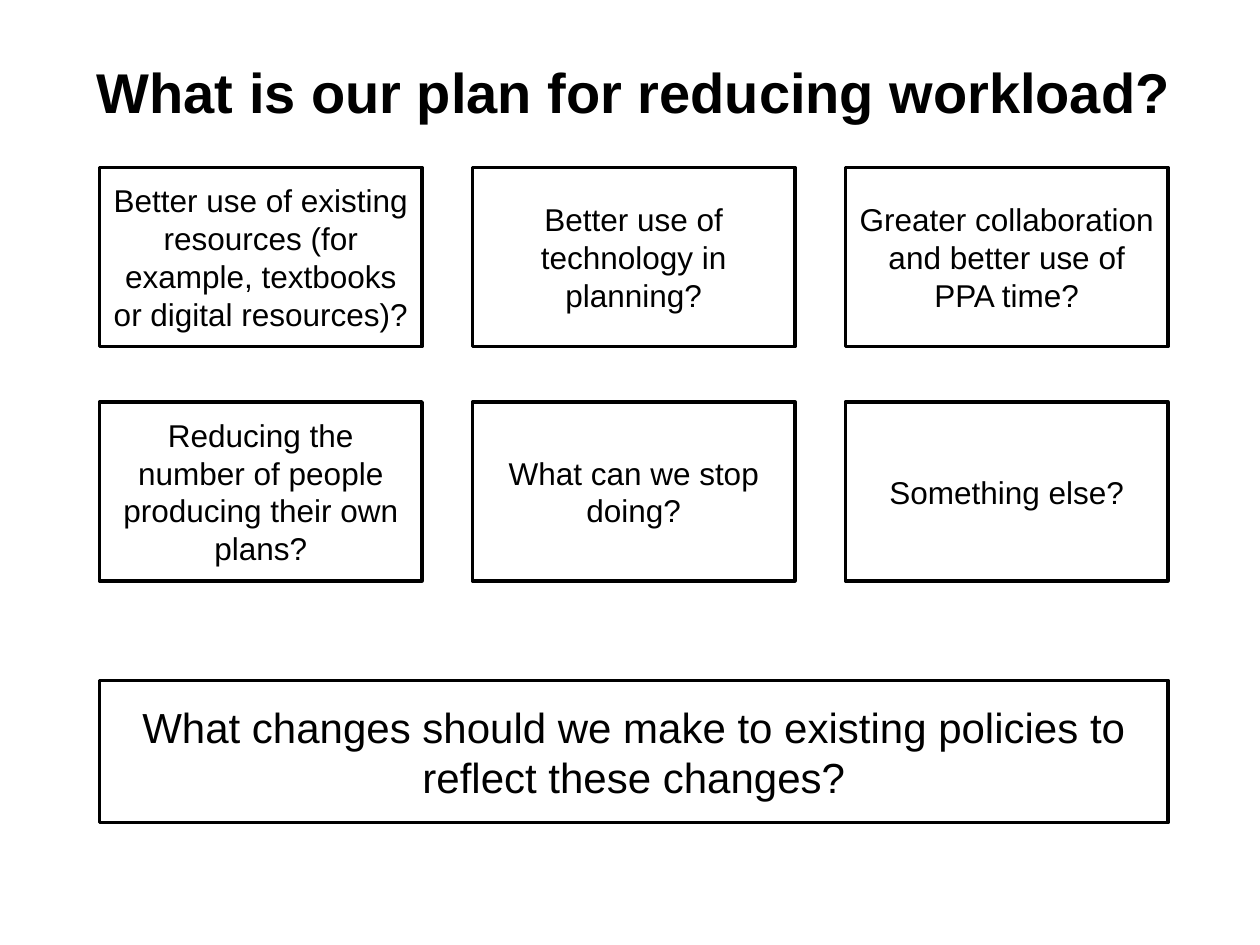
from dataclasses import dataclass

from pptx import Presentation
from pptx.dml.color import RGBColor
from pptx.enum.shapes import MSO_SHAPE
from pptx.enum.text import MSO_ANCHOR, PP_ALIGN
from pptx.util import Inches, Pt


@dataclass(frozen=True)
class Theme:
    font: str = "Arial"
    ink: RGBColor = RGBColor(0, 0, 0)
    title_size: int = 32
    question_size: int = 18
    summary_size: int = 24
    outline: int = 2
    leading: float = 1.2


@dataclass(frozen=True)
class Box:
    left: float
    top: float
    width: float
    height: float

    def lengths(self):
        return [Inches(value) for value in (self.left, self.top, self.width, self.height)]


THEME = Theme()
TITLE_BOX = Box(0.67, 0.37, 9.06, 0.71)
QUESTION_BOX = Box(0.79, 1.33, 8.48, 3.28)
SUMMARY_BOX = Box(0.79, 5.4, 8.48, 1.13)
COLUMN_GAP = 0.4
ROW_GAP = 0.44
QUESTIONS = [
    [
        "Better use of existing resources (for example, textbooks or digital resources)?",
        "Better use of technology in planning?",
        "Greater collaboration and better use of PPA time?",
    ],
    [
        "Reducing the number of people producing their own plans?",
        "What can we stop doing?",
        "Something else?",
    ],
]


def write_text(shape, text, size, alignment, bold=False):
    frame = shape.text_frame
    frame.text = text
    frame.word_wrap = True
    frame.vertical_anchor = MSO_ANCHOR.MIDDLE
    paragraph = frame.paragraphs[0]
    paragraph.alignment = alignment
    paragraph.line_spacing = Pt(size * THEME.leading)
    font = paragraph.runs[0].font
    font.name = THEME.font
    font.size = Pt(size)
    font.bold = bold
    font.color.rgb = THEME.ink


def add_title(slide, box, text):
    shape = slide.shapes.add_textbox(*box.lengths())
    write_text(shape, text, THEME.title_size, PP_ALIGN.LEFT, bold=True)


def add_panel(slide, box, text, size):
    shape = slide.shapes.add_shape(MSO_SHAPE.RECTANGLE, *box.lengths())
    shape.shadow.inherit = False
    shape.fill.background()
    shape.line.color.rgb = THEME.ink
    shape.line.width = Pt(THEME.outline)
    write_text(shape, text, size, PP_ALIGN.CENTER)


def add_question_grid(slide, box, rows):
    columns = len(rows[0])
    width = (box.width - COLUMN_GAP * (columns - 1)) / columns
    height = (box.height - ROW_GAP * (len(rows) - 1)) / len(rows)
    for row, questions in enumerate(rows):
        for column, question in enumerate(questions):
            cell = Box(
                box.left + column * (width + COLUMN_GAP),
                box.top + row * (height + ROW_GAP),
                width,
                height,
            )
            add_panel(slide, cell, question, THEME.question_size)


def main():
    presentation = Presentation()
    presentation.slide_width = Inches(10)
    presentation.slide_height = Inches(7.5)
    slide = presentation.slides.add_slide(presentation.slide_layouts[6])
    add_title(slide, TITLE_BOX, "What is our plan for reducing workload?")
    add_question_grid(slide, QUESTION_BOX, QUESTIONS)
    add_panel(
        slide,
        SUMMARY_BOX,
        "What changes should we make to existing policies to reflect these changes?",
        THEME.summary_size,
    )
    presentation.save("out.pptx")


if __name__ == "__main__":
    main()
